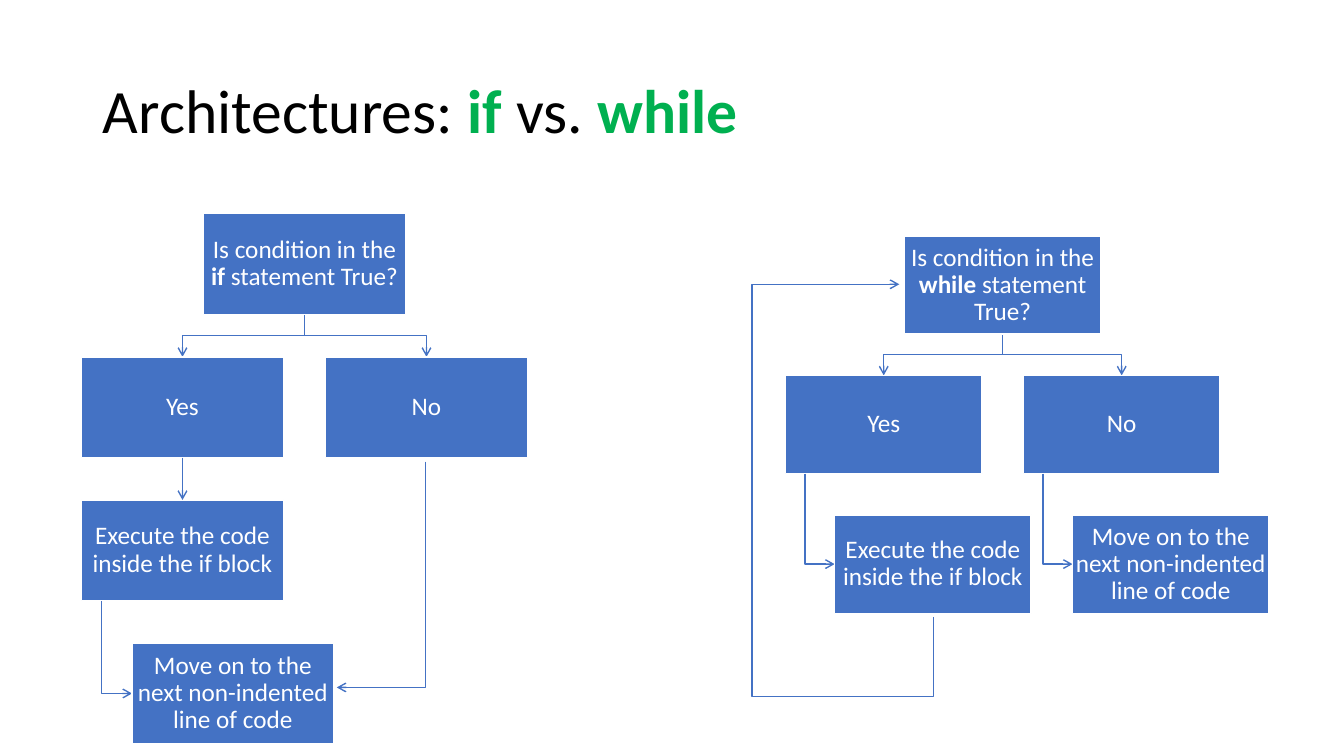
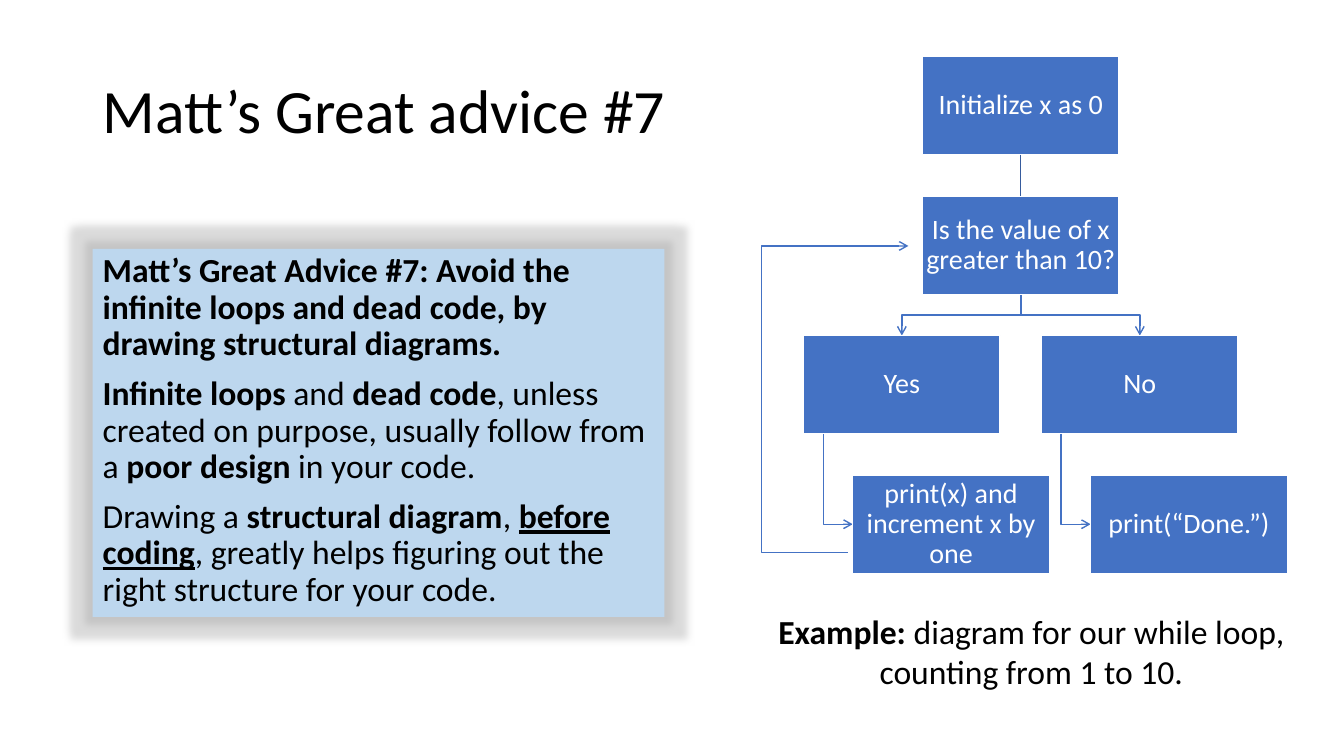
"""Build two slides that compare if and while with flow diagrams."""
from lxml import etree
from pptx import Presentation
from pptx.dml.color import RGBColor
from pptx.enum import shapes, text
from pptx.oxml import ns
from pptx.util import Inches, Pt

FONT = "Calibri"
COLORS = {"blue": "4472C4", "dark": "365B9D", "pale": "BDD7EE", "green": "00B050",
          "black": "000000", "white": "FFFFFF", "gray": "A5A5A5"}
CENTER = text.PP_ALIGN.CENTER
MIDDLE = text.MSO_ANCHOR.MIDDLE


def rgb(name):
    """Return a palette colour."""
    return RGBColor.from_string(COLORS[name])


def sub(parent, tag, **attrs):
    """Append a drawing element with attributes."""
    node = etree.SubElement(parent, ns.qn(tag))
    for key, value in attrs.items():
        node.set(key, value)
    return node


def write(frame, paras, size, color="black", align=text.PP_ALIGN.LEFT, gap=0, lead=0.9):
    """Write paragraphs of (words, style) runs; b is bold, u underlined, g green."""
    frame.word_wrap = True
    for i, runs in enumerate(paras):
        para = frame.add_paragraph() if i else frame.paragraphs[0]
        para.alignment, para.line_spacing = align, lead
        para.space_before = Pt(gap if i else 0)
        for words, style in runs:
            run = para.add_run()
            run.text = words
            font = run.font
            font.name, font.size = FONT, Pt(size)
            font.bold, font.underline = "b" in style, "u" in style
            font.color.rgb = rgb("green" if "g" in style else color)


def start(deck, runs):
    """Add a slide with its formatted title."""
    slide = deck.slides.add_slide(deck.slide_layouts[5])
    title = slide.shapes.title
    title.left, title.top = Inches(0.92), Inches(0.4)
    title.width, title.height = Inches(11.5), Inches(1.45)
    title.text_frame.vertical_anchor = MIDDLE
    write(title.text_frame, [runs], 44)
    return slide


def rect(slide, x, y, w, h, fill):
    """Add a plain filled rectangle."""
    shape = slide.shapes.add_shape(shapes.MSO_SHAPE.RECTANGLE,
                                   Inches(x), Inches(y), Inches(w), Inches(h))
    shape.shadow.inherit = False
    shape.fill.solid()
    shape.fill.fore_color.rgb = rgb(fill)
    return shape


def stroke(line, color="blue", arrow=True):
    """Format a line, with an open arrowhead at its end if asked."""
    line.color.rgb = rgb(color)
    line.width = Pt(1)
    if arrow:
        sub(line._get_or_add_ln(), "a:tailEnd", type="arrow")


def bend(slide, *points):
    """Draw an open path of (x, y) inches ending in an arrowhead."""
    spots = [(Inches(x), Inches(y)) for x, y in points]
    pen = slide.shapes.build_freeform(*spots[0])
    pen.add_line_segments(spots[1:], close=False)
    shape = pen.convert_to_shape()
    shape.shadow.inherit = False
    shape.fill.background()
    stroke(shape.line)


def join(slide, upper, lower, color="blue", arrow=True):
    """Join the bottom of one box to the top of another."""
    link = slide.shapes.add_connector(shapes.MSO_CONNECTOR.STRAIGHT, 0, 0, 0, 0)
    link.begin_connect(upper, 2)
    link.end_connect(lower, 0)
    sub(link._element.spPr, "a:effectLst")
    stroke(link.line, color, arrow)


class Tree:
    """A flow diagram whose measures all follow from the box width."""

    def __init__(self, slide, x, y, w, size):
        """Set the left edge, top edge, box width and text size."""
        self.slide, self.x, self.y, self.w, self.size = slide, x, y, w, size
        self.h, self.hang = w / 2, w / 4

    def spot(self, col, row, hung=False):
        """Return the top left corner of a cell."""
        return (self.x + 1.21 * self.w * col + self.hang * hung,
                self.y + 0.71 * self.w * row)

    def box(self, col, row, runs, hung=False):
        """Add a box of text in a cell."""
        shape = rect(self.slide, *self.spot(col, row, hung), self.w, self.h, "blue")
        stroke(shape.line, "white", False)
        frame = shape.text_frame
        frame.margin_left = frame.margin_right = Inches(0.01)
        frame.margin_top = frame.margin_bottom = Inches(0.01)
        frame.vertical_anchor = MIDDLE
        write(frame, [runs], self.size, "white", CENTER)
        return shape

    def fork(self, row, runs):
        """Add a question with arrows to a Yes and a No box below it."""
        x, y = self.spot(0.5, row)
        mid, foot = x + self.w / 2, y + self.h
        end = self.spot(0, row + 1)[1]
        turn = (foot + end) / 2
        for col in (0, 1):
            to = self.spot(col, row)[0] + self.w / 2
            bend(self.slide, (mid, foot), (mid, turn), (to, turn), (to, end))
        ask = self.box(0.5, row, runs)
        yes, _ = [self.box(col, row + 1, [(word, "")])
                  for col, word in enumerate(("Yes", "No"))]
        return ask, yes

    def child(self, col, row, words):
        """Add an indented box with an elbow from the box above it."""
        x, y = self.spot(col, row, True)
        trunk, mid = x - 0.15 * self.w, y + self.h / 2
        bend(self.slide, (trunk, self.spot(col, row - 1)[1] + self.h), (trunk, mid), (x, mid))
        self.box(col, row, [(words, "")], True)


def compare(deck):
    """Build the slide that sets if beside while."""
    slide = start(deck, [("Architectures: ", ""), ("if", "bg"), (" vs. ", ""), ("while", "bg")])
    ask, run, move = ("Is condition in the ", "Execute the code inside the if block",
                      "Move on to the next non-indented line of code")

    tree = Tree(slide, 0.81, 2.12, 2, 18)
    _, yes = tree.fork(0, [(ask, ""), ("if", "b"), (" statement True?", "")])
    join(slide, yes, tree.box(0, 2, [(run, "")]))
    tree.child(0, 3, move)
    bend(slide, (4.22, 4.58), (4.22, 6.82), (3.34, 6.82))

    tree = Tree(slide, 7.79, 2.34, 1.95, 18)
    tree.fork(0, [(ask, ""), ("while", "b"), (" statement True?", "")])
    for col, words in enumerate((run, move)):
        tree.child(col, 2, words)
    bend(slide, (9.26, 6.12), (9.26, 6.91), (7.46, 6.91), (7.46, 2.82), (8.92, 2.82))


def advise(deck):
    """Build the slide with the advice and its example diagram."""
    slide = start(deck, [("Matt’s Great advice #7", "")])
    panel = rect(slide, 0.92, 2.47, 5.67, 3.65, "pale")
    panel.line.fill.background()
    glow = sub(panel._element.spPr.find(ns.qn("a:effectLst")), "a:glow", rad=str(Inches(0.15)))
    sub(sub(glow, "a:srgbClr", val=COLORS["gray"]), "a:alpha", val="40000")
    panel.text_frame.vertical_anchor = text.MSO_ANCHOR.TOP
    write(panel.text_frame, [
        [("Matt’s Great Advice #7: Avoid the infinite loops and dead code, "
          "by drawing structural diagrams.", "b")],
        [("Infinite loops ", "b"), ("and ", ""), ("dead code", "b"),
         (", unless created on purpose, usually follow from a ", ""),
         ("poor design", "b"), (" in your code.", "")],
        [("Drawing a ", ""), ("structural diagram", "b"), (", ", ""), ("before", "bu"),
         (" ", "u"), ("coding", "bu"),
         (", greatly helps figuring out the right structure for your code.", "")],
    ], 24, gap=10)

    tree = Tree(slide, 7.97, 0.56, 1.95, 20)
    first = tree.box(0.5, 0, [("Initialize x as 0", "")])
    ask, _ = tree.fork(1, [("Is the value of x greater than 10?", "")])
    join(slide, first, ask, "dark", False)
    for col, words in enumerate(("print(x) and increment x by one", "print(“Done.”)")):
        tree.child(col, 3, words)
    bend(slide, (8.41, 5.48), (7.55, 5.48), (7.55, 2.44), (9.01, 2.44))

    note = slide.shapes.add_textbox(Inches(7.55), Inches(6.01), Inches(5.36), Inches(0.91))
    write(note.text_frame, [[("Example:", "b"),
                             (" diagram for our while loop, counting from 1 to 10.", "")]],
          24, align=CENTER, lead=1.0)


def main():
    """Build and save the deck."""
    deck = Presentation()
    deck.slide_width, deck.slide_height = Inches(13.33), Inches(7.5)
    compare(deck)
    advise(deck)
    deck.save("out.pptx")


if __name__ == "__main__":
    main()
